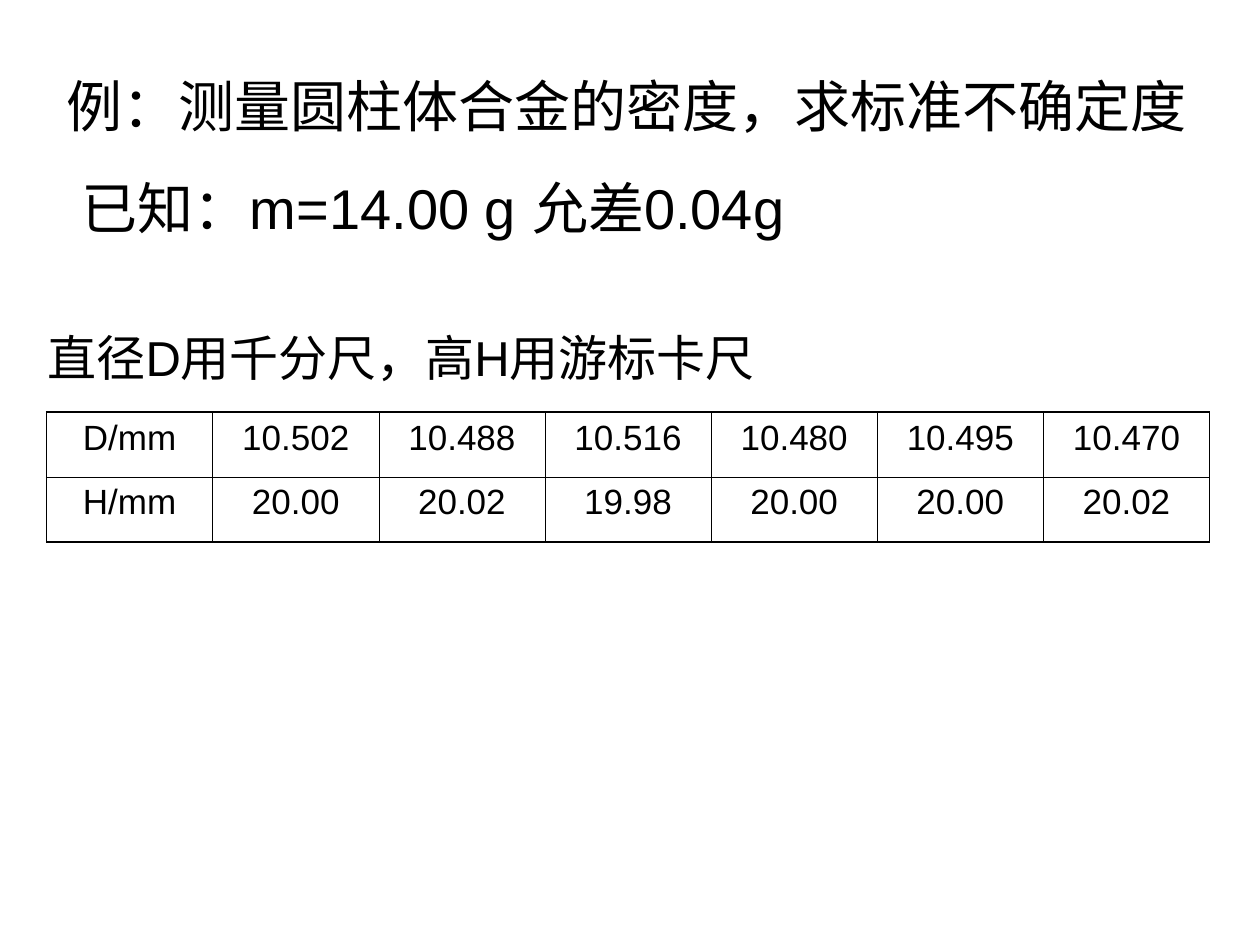
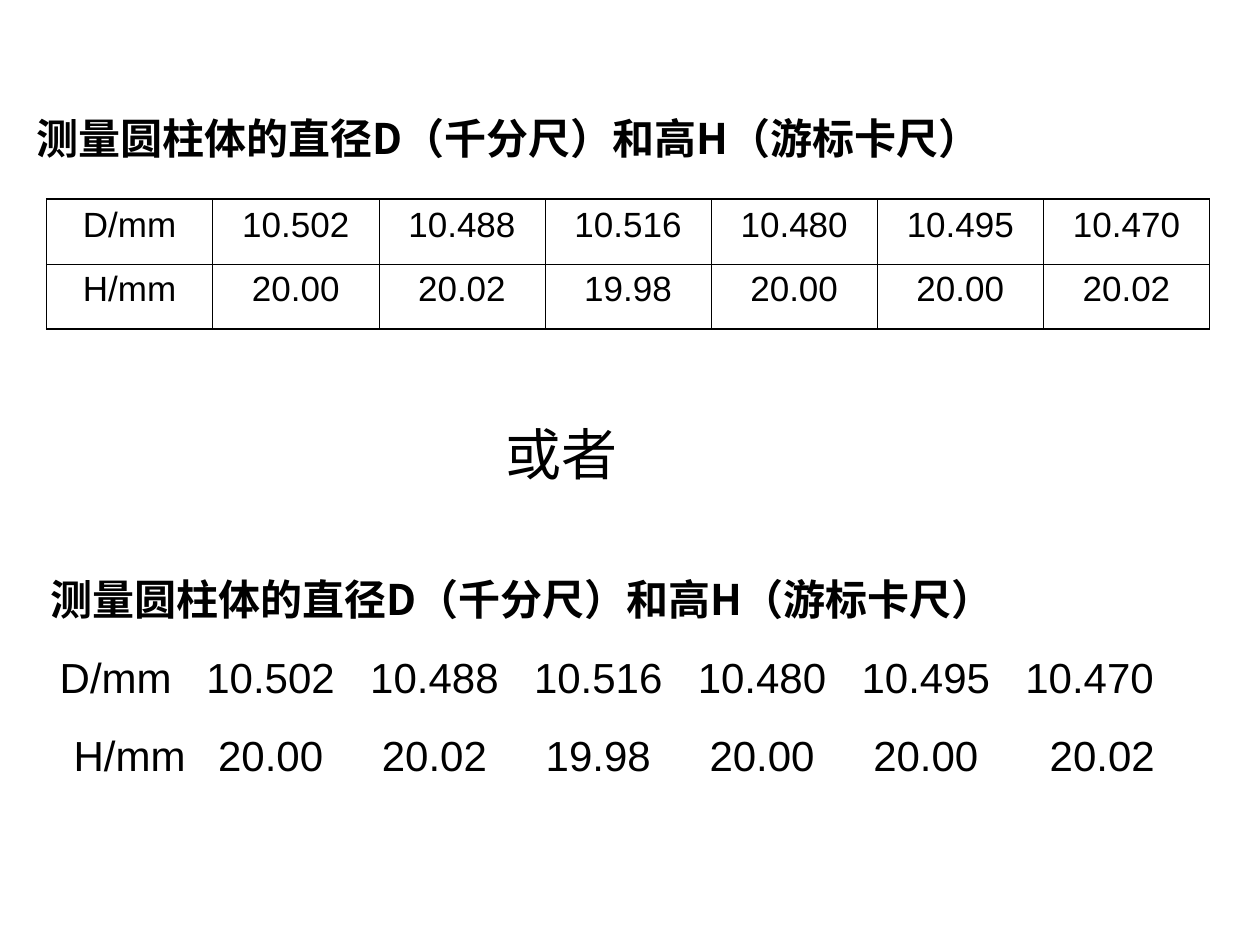
import dataclasses

import lxml.etree
import pptx
import pptx.dml.color
import pptx.enum.text
import pptx.oxml.ns
import pptx.util

Inches = pptx.util.Inches
Pt = pptx.util.Pt
qualified = pptx.oxml.ns.qn


@dataclasses.dataclass(frozen=True)
class Theme:
    ink: str = "000000"
    body_font: str = "Arial"
    heading_font: str = "Noto Sans CJK SC"
    title_size: float = 32
    note_size: float = 28
    heading_size: float = 24
    table_size: float = 20
    outer_line: float = 1.08
    inner_line: float = 0.45


THEME = Theme()
HEADING = "测量圆柱体的直径D（千分尺）和高H（游标卡尺）"
READINGS = [
    ["D/mm", "10.502", "10.488", "10.516", "10.480", "10.495", "10.470"],
    ["H/mm", "20.00", "20.02", "19.98", "20.00", "20.00", "20.02"],
]
TABLE_LEFT, TABLE_WIDTH, TABLE_HEIGHT = 0.37, 9.23, 1.03


def write_text(paragraph, text, *, size, font=THEME.body_font, bold=False,
               centred=False, space_before=0, indent=0, centre_tabs=()):
    """Fill one paragraph and format it."""
    properties = paragraph._p.get_or_add_pPr()
    if indent:
        properties.set("marL", str(Inches(indent)))
    if centre_tabs:
        tab_list = lxml.etree.SubElement(properties, qualified("a:tabLst"))
        for position in centre_tabs:
            lxml.etree.SubElement(tab_list, qualified("a:tab"),
                                  pos=str(Inches(position)), algn="ctr")
    if space_before:
        paragraph.space_before = Pt(space_before)
    if centred:
        paragraph.alignment = pptx.enum.text.PP_ALIGN.CENTER
    run = paragraph.add_run()
    run.text = text
    run.font.size = Pt(size)
    run.font.name = font
    run.font.bold = bold
    run.font.color.rgb = pptx.dml.color.RGBColor.from_string(THEME.ink)


def add_text_frame(slide, left, top, width, height, wrap=False):
    box = slide.shapes.add_textbox(Inches(left), Inches(top),
                                   Inches(width), Inches(height))
    box.text_frame.word_wrap = wrap
    return box.text_frame


def add_label(slide, box, text, **text_format):
    frame = add_text_frame(slide, *box)
    write_text(frame.paragraphs[0], text, **text_format)


def add_cell_borders(cell, widths):
    """Draw the left, right, top and bottom lines of a cell."""
    properties = cell._tc.get_or_add_tcPr()
    for position, (side, width) in enumerate(widths.items()):
        line = lxml.etree.Element(qualified(f"a:ln{side}"), w=str(Pt(width)))
        fill = lxml.etree.SubElement(line, qualified("a:solidFill"))
        lxml.etree.SubElement(fill, qualified("a:srgbClr"), val=THEME.ink)
        properties.insert(position, line)


def add_readings_table(slide, top):
    row_count, column_count = len(READINGS), len(READINGS[0])
    table = slide.shapes.add_table(
        row_count, column_count, Inches(TABLE_LEFT), Inches(top),
        Inches(TABLE_WIDTH), Inches(TABLE_HEIGHT)).table
    table.first_row = table.horz_banding = False

    def line_width(is_outer):
        return THEME.outer_line if is_outer else THEME.inner_line

    for row, values in enumerate(READINGS):
        for column, value in enumerate(values):
            cell = table.cell(row, column)
            cell.fill.background()
            write_text(cell.text_frame.paragraphs[0], value,
                       size=THEME.table_size, centred=True)
            add_cell_borders(cell, {
                "L": line_width(column == 0),
                "R": line_width(column == column_count - 1),
                "T": line_width(row == 0),
                "B": line_width(row == row_count - 1),
            })


def add_readings_list(slide, left, top, width, height):
    """Heading with the readings set out on centred tab stops."""
    frame = add_text_frame(slide, left, top, width, height, wrap=True)
    write_text(frame.paragraphs[0], HEADING, size=THEME.heading_size,
               font=THEME.heading_font, bold=True)
    first_value, step = 1.75, 1.3
    value_tabs = [first_value + step * i for i in range(len(READINGS[0]) - 1)]
    for values, label_tab, last_shift in zip(READINGS, (0.52, 0.63), (0, 0.1)):
        tabs = [label_tab, *value_tabs[:-1], value_tabs[-1] + last_shift]
        write_text(frame.add_paragraph(), "\t" + "\t".join(values),
                   size=THEME.heading_size, space_before=16, centre_tabs=tabs)


def build_problem_slide(slide):
    # Problem and known mass
    frame = add_text_frame(slide, 0.43, 0.52, 9.29, 1.45, wrap=True)
    write_text(frame.paragraphs[0], "例：测量圆柱体合金的密度，求标准不确定度",
               size=THEME.title_size)
    write_text(frame.add_paragraph(), "已知：m=14.00 g 允差0.04g",
               size=THEME.title_size, space_before=20, indent=0.12)
    # Measured dimensions
    add_readings_table(slide, 3.27)
    add_label(slide, (0.28, 2.55, 6.18, 0.57), "直径D用千分尺，高H用游标卡尺",
              size=THEME.note_size)


def build_layouts_slide(slide):
    # Readings as a ruled table
    add_label(slide, (0.19, 0.84, 8.32, 0.5), HEADING, size=THEME.heading_size,
              font=THEME.heading_font, bold=True)
    add_readings_table(slide, 1.58)
    # Readings as plain rows
    add_readings_list(slide, 0.3, 4.5, 9.07, 2.1)
    add_label(slide, (3.91, 3.28, 1.09, 0.64), "或者", size=THEME.title_size)


def main():
    presentation = pptx.Presentation()
    presentation.slide_width = Inches(10)
    presentation.slide_height = Inches(7.5)
    blank_layout = presentation.slide_layouts[6]
    for build_slide in (build_problem_slide, build_layouts_slide):
        build_slide(presentation.slides.add_slide(blank_layout))
    presentation.save("out.pptx")


if __name__ == "__main__":
    main()
